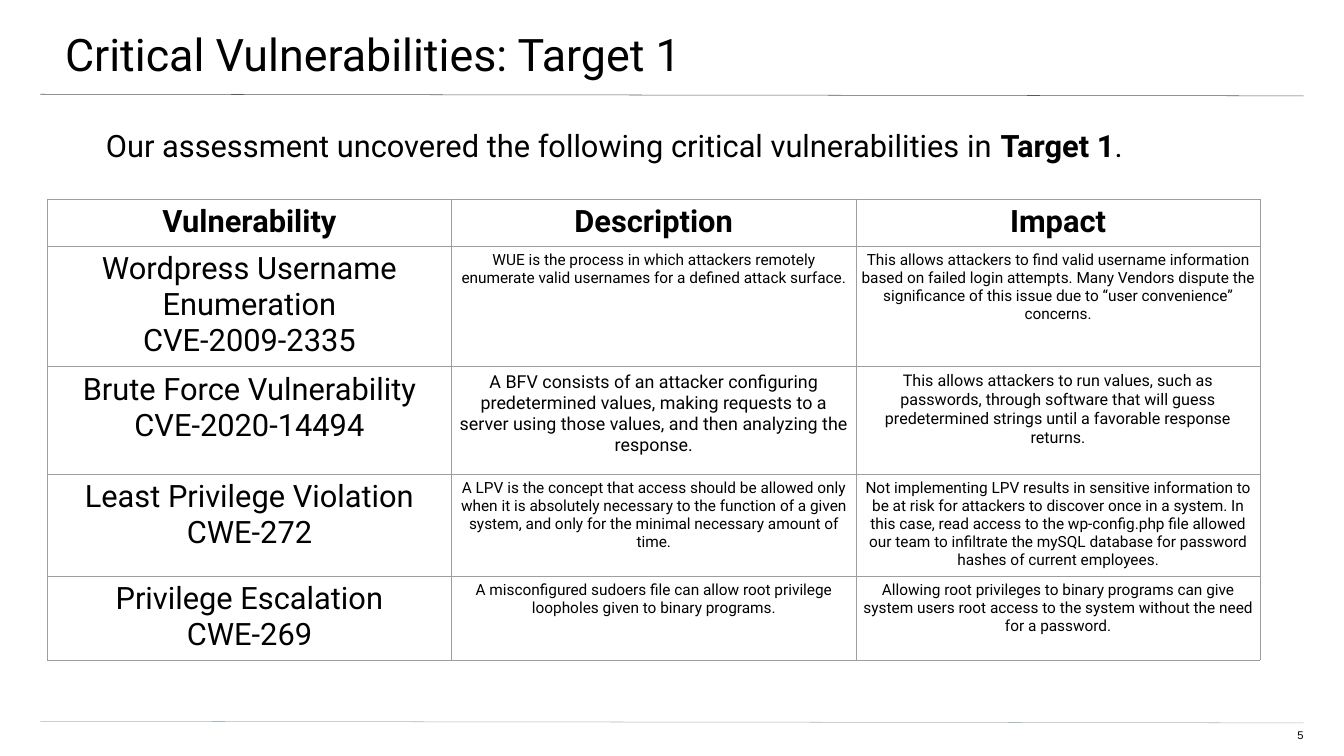
from lxml.etree import SubElement
from pptx import Presentation
from pptx.dml.color import RGBColor
from pptx.enum.shapes import MSO_CONNECTOR
from pptx.enum.text import MSO_ANCHOR, PP_ALIGN
from pptx.oxml import parse_xml
from pptx.oxml.ns import nsdecls, qn
from pptx.util import Cm, Pt

BLACK = RGBColor(0x00, 0x00, 0x00)
TITLE_RULE = RGBColor(0x59, 0x59, 0x59)
FOOTER_RULE = RGBColor(0xA9, 0xB7, 0xC0)
GRID = RGBColor(0x9E, 0x9E, 0x9E)

HEADINGS = ["Vulnerability", "Description", "Impact"]
VULNERABILITIES = [
    (
        ["Wordpress Username Enumeration", "CVE-2009-2335"],
        "WUE is the process in which attackers remotely enumerate valid usernames "
        "for a defined attack surface.", 22,
        "This allows attackers to find valid username information based on failed "
        "login attempts. Many Vendors dispute the significance of this issue due to "
        "“user convenience” concerns.", 22,
    ),
    (
        ["Brute Force Vulnerability", "CVE-2020-14494"],
        "A BFV consists of an attacker configuring predetermined values, making "
        "requests to a server using those values, and then analyzing the response.", 25.5,
        "This allows attackers to run values, such as passwords, through software "
        "that will guess predetermined strings until a favorable response returns.", 23,
    ),
    (
        ["Least Privilege Violation", "CWE-272"],
        "A LPV is the concept that access should be allowed only when it is "
        "absolutely necessary to the function of a given system, and only for the "
        "minimal necessary amount of time.", 22,
        "Not implementing LPV results in sensitive information to be at risk for "
        "attackers to discover once in a system. In this case, read access to the "
        "wp-config.php file allowed our team to infiltrate the mySQL database for "
        "password hashes of current employees.", 22,
    ),
    (
        ["Privilege Escalation", "CWE-269"],
        "A misconfigured sudoers file can allow root privilege loopholes given to "
        "binary programs.", 22,
        "Allowing root privileges to binary programs can give system users root "
        "access to the system without the need for a password.", 22,
    ),
]
ROW_HEIGHTS = [2.28, 5.95, 5.4, 5.04, 4.08]
COLUMN_WIDTH = 20.37


def add_span(paragraph, text, size, bold=False, font="Roboto"):
    span = paragraph.add_run()
    span.text = text
    span.font.name = font
    span.font.size = Pt(size)
    span.font.bold = bold
    span.font.color.rgb = BLACK


def add_box(page, left, top, width, height, margins):
    box = page.shapes.add_textbox(Cm(left), Cm(top), Cm(width), Cm(height))
    frame = box.text_frame
    frame.word_wrap = True
    frame.vertical_anchor = MSO_ANCHOR.TOP
    (frame.margin_left, frame.margin_top,
     frame.margin_right, frame.margin_bottom) = [Cm(margin) for margin in margins]
    return frame.paragraphs[0]


def add_rule(page, top, color):
    rule = page.shapes.add_connector(
        MSO_CONNECTOR.STRAIGHT, Cm(2.03), Cm(top), Cm(65.68), Cm(top + 0.08))
    rule.line.color.rgb = color
    rule.line.width = Pt(0.75)
    SubElement(rule.element.spPr, qn("a:effectLst"))


def add_borders(cell):
    properties = cell._tc.get_or_add_tcPr()
    for index, side in enumerate(["lnL", "lnR", "lnT", "lnB"]):
        properties.insert(index, parse_xml(
            f'<a:{side} {nsdecls("a")} w="{Pt(0.75)}"><a:solidFill>'
            f'<a:srgbClr val="{GRID}"/></a:solidFill></a:{side}>'))


def fill_cell(cell, lines, size, bold=False):
    cell.margin_left = cell.margin_right = Cm(0.25)
    cell.margin_top = cell.margin_bottom = Cm(0.25)
    cell.fill.background()
    add_borders(cell)
    frame = cell.text_frame
    for index, line in enumerate(lines):
        paragraph = frame.add_paragraph() if index else frame.paragraphs[0]
        paragraph.alignment = PP_ALIGN.CENTER
        add_span(paragraph, line, size, bold)


def add_vulnerability_table(page):
    table = page.shapes.add_table(
        len(ROW_HEIGHTS), len(HEADINGS), Cm(2.39), Cm(10.03),
        Cm(COLUMN_WIDTH * len(HEADINGS)), Cm(sum(ROW_HEIGHTS))).table
    table.first_row = False
    table.horz_banding = False
    for column in table.columns:
        column.width = Cm(COLUMN_WIDTH)
    for row, height in zip(table.rows, ROW_HEIGHTS):
        row.height = Cm(height)
    for column, heading in enumerate(HEADINGS):
        fill_cell(table.cell(0, column), [heading], 44, bold=True)
    for row, entry in enumerate(VULNERABILITIES, start=1):
        name, description, description_size, impact, impact_size = entry
        fill_cell(table.cell(row, 0), name, 44)
        fill_cell(table.cell(row, 1), [description], description_size)
        fill_cell(table.cell(row, 2), [impact], impact_size)


def main():
    deck = Presentation()
    deck.slide_width = Cm(67.72)
    deck.slide_height = Cm(38.1)
    page = deck.slides.add_slide(deck.slide_layouts[6])

    add_rule(page, 4.75, TITLE_RULE)
    add_rule(page, 36.35, FOOTER_RULE)

    title = add_box(page, -0.1, 0, 67.89, 3.96, (3.38, 1.35, 2.03, 0.69))
    add_span(title, "Critical Vulnerabilities: Target 1", 64)

    number = add_box(page, 63.75, 36.73, 1.93, 0.79, (0, 0, 0, 0.69))
    number.alignment = PP_ALIGN.RIGHT
    add_span(number, "5", 16, font="Arial")

    summary = add_box(page, 1.96, 6.38, 63.73, 27.41, (3.38, 0, 3.38, 0))
    add_span(summary, "Our assessment uncovered the following critical vulnerabilities in ", 44)
    add_span(summary, "Target 1", 44, bold=True)
    add_span(summary, ".", 44)

    add_vulnerability_table(page)
    deck.save("out.pptx")


if __name__ == "__main__":
    main()
